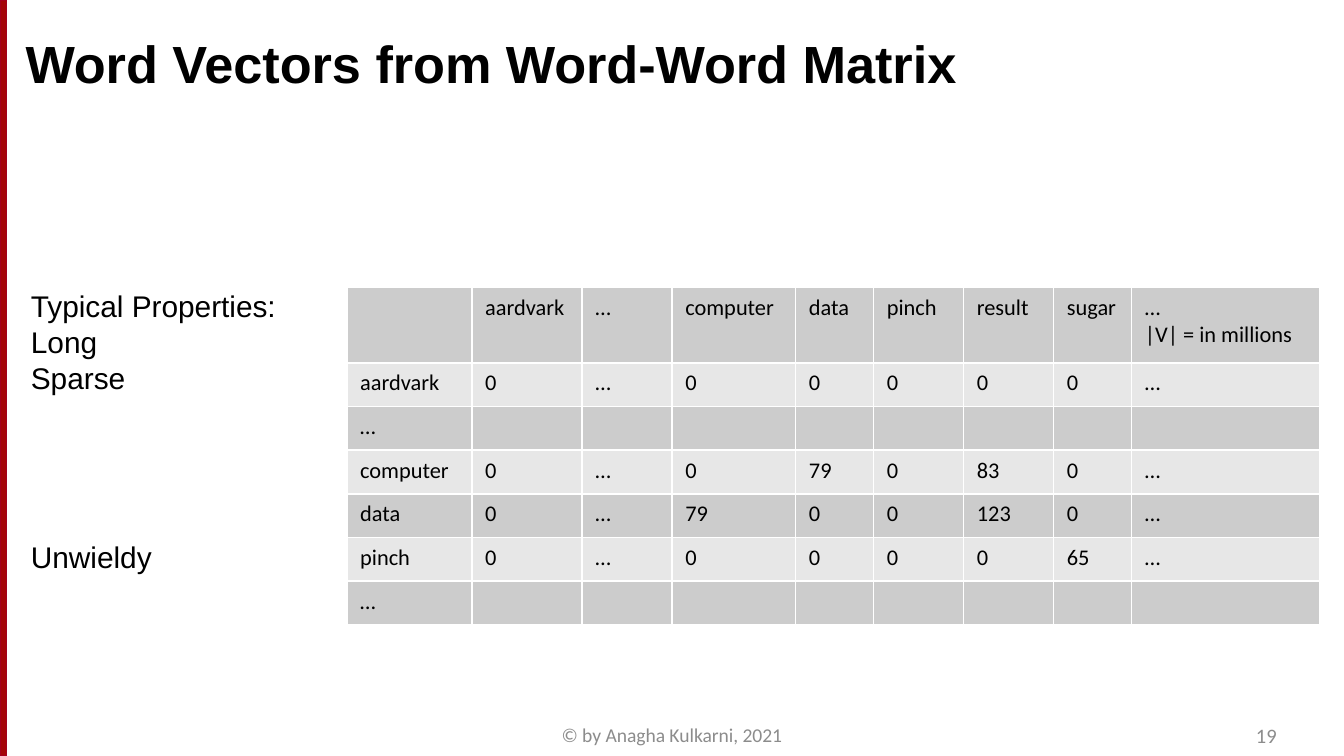
from lxml import etree
from pptx import Presentation
from pptx.dml.color import RGBColor
from pptx.enum.shapes import MSO_CONNECTOR, MSO_SHAPE
from pptx.enum.text import MSO_ANCHOR, MSO_AUTO_SIZE, PP_ALIGN
from pptx.oxml.ns import qn
from pptx.util import Inches, Pt

STRAIGHT = MSO_CONNECTOR.STRAIGHT
RECTANGLE = MSO_SHAPE.RECTANGLE
TOP = MSO_ANCHOR.TOP
NO_AUTOFIT = MSO_AUTO_SIZE.NONE
LEFT, CENTER, RIGHT = PP_ALIGN.LEFT, PP_ALIGN.CENTER, PP_ALIGN.RIGHT

WIDTH = 10
HEIGHT = WIDTH * 9 / 16
BLACK, GRAY = "000000", "8C8C8C"
BANDS = ["CCCCCC", "E7E7E7"]
COLUMNS = [0.93, 0.82, 0.67, 0.92, 0.58, 0.67, 0.67, 0.58, 1.4]
HEADER_HEIGHT = 0.56
COUNTS = [
    ["", "aardvark", "…", "computer", "data", "pinch", "result", "sugar",
     "…\n|V| = in millions"],
    ["aardvark", "0", "…", "0", "0", "0", "0", "0", "…"],
    ["…"] + [""] * 8,
    ["computer", "0", "…", "0", "79", "0", "83", "0", "…"],
    ["data", "0", "…", "79", "0", "0", "123", "0", "…"],
    ["pinch", "0", "…", "0", "0", "0", "0", "65", "…"],
    ["…"] + [""] * 8,
]


def rgb(value):
    return RGBColor.from_string(value)


def inches(*values):
    return [Inches(v) for v in values]


def place(sp, box):
    for name, value in zip(("left", "top", "width", "height"), inches(*box)):
        setattr(sp, name, value)


def format_run(r, size, font, color=BLACK, bold=False):
    for name, value in {"size": Pt(size), "name": font, "bold": bold}.items():
        setattr(r.font, name, value)
    r.font.color.rgb = rgb(color)


def fill_frame(tf, lines, size, font, color=BLACK, bold=False, align=LEFT,
               spacing=None):
    settings = {"margin_left": 0, "margin_top": 0, "margin_right": 0,
                "margin_bottom": 0, "word_wrap": True, "auto_size": NO_AUTOFIT,
                "vertical_anchor": TOP}
    for name, value in settings.items():
        setattr(tf, name, value)
    for i, line in enumerate(lines):
        p = tf.paragraphs[0] if i == 0 else tf.add_paragraph()
        p.alignment = align
        p.space_before = Pt(0)
        if spacing:
            p.line_spacing = Pt(spacing)
        r = p.add_run()
        r.text = line
        format_run(r, size, font, color, bold)


def add_side_bar(s, left, top, width, height):
    middle = left + 0.02
    stripe = s.shapes.add_connector(
        STRAIGHT, *inches(middle, top, middle, top + height))
    stripe.line.color.rgb = rgb("A40508")
    stripe.line.width = Pt(3.6)
    etree.SubElement(stripe._element.spPr, qn("a:effectLst"))
    frame = s.shapes.add_shape(RECTANGLE, *inches(left, top, width, height))
    frame.shadow.inherit = False
    frame.fill.background()
    frame.line.color.rgb = rgb("A4001D")
    frame.line.width = Pt(0.75)


def add_title(s, box):
    sp = s.shapes.title
    place(sp, box)
    fill_frame(sp.text_frame, ["Word Vectors from Word-Word Matrix"], 28,
               "Arial", bold=True, spacing=33.6)


def add_properties(s, box):
    sp = s.placeholders[1]
    place(sp, box)
    tf = sp.text_frame
    line = 19.2
    fill_frame(tf, ["Typical Properties:", "Long", "Sparse", "Unwieldy"], 16,
               "Arial", spacing=line)
    for p in tf.paragraphs:
        pPr = p._p.get_or_add_pPr()
        pPr.set("marL", "0")
        pPr.set("indent", "0")
        etree.SubElement(pPr, qn("a:buNone"))
    tf.paragraphs[-1].space_before = Pt(4 * line)


def add_matrix(s, left, top, height):
    body_rows = len(COUNTS) - 1
    row_height = (height - HEADER_HEIGHT) / body_rows
    heights = [HEADER_HEIGHT] + [row_height] * body_rows
    table = s.shapes.add_table(
        len(COUNTS), len(COLUMNS),
        *inches(left, top, sum(COLUMNS), height)).table
    table.first_row = False
    table.horz_banding = False
    for column, width in zip(table.columns, COLUMNS):
        column.width = Inches(width)
    for i, (row, row_height) in enumerate(zip(table.rows, heights)):
        row.height = Inches(row_height)
        for cell, text in zip(row.cells, COUNTS[i]):
            cell.fill.solid()
            cell.fill.fore_color.rgb = rgb(BANDS[i % 2])
            cell.text = text
            for p in cell.text_frame.paragraphs:
                p._p.get_or_add_endParaRPr().set("sz", "1200")
                for r in p.runs:
                    format_run(r, 12, "Calibri")


def add_footer(s, left, top, width, height):
    notes = [(left, 3.2, "© by Anagha Kulkarni, 2021", 10.5, CENTER),
             (left + width - 2.3, 2.3, "19", 11, RIGHT)]
    for x, w, text, size, align in notes:
        sp = s.shapes.add_textbox(*inches(x, top, w, height))
        fill_frame(sp.text_frame, [text], size, "Calibri", GRAY, align=align)


def main():
    prs = Presentation()
    prs.slide_width, prs.slide_height = inches(WIDTH, HEIGHT)
    s = prs.slides.add_slide(prs.slide_layouts[1])
    add_side_bar(s, 0, 0, 0.05, HEIGHT)
    add_title(s, (0.19, 0.23, 8.17, 0.47))
    add_properties(s, (0.23, 2.14, 9.33, 2.42))
    add_matrix(s, 2.58, 2.14, 2.51)
    add_footer(s, 3.4, 5.38, 6.1, 0.19)
    prs.save("out.pptx")


if __name__ == "__main__":
    main()
